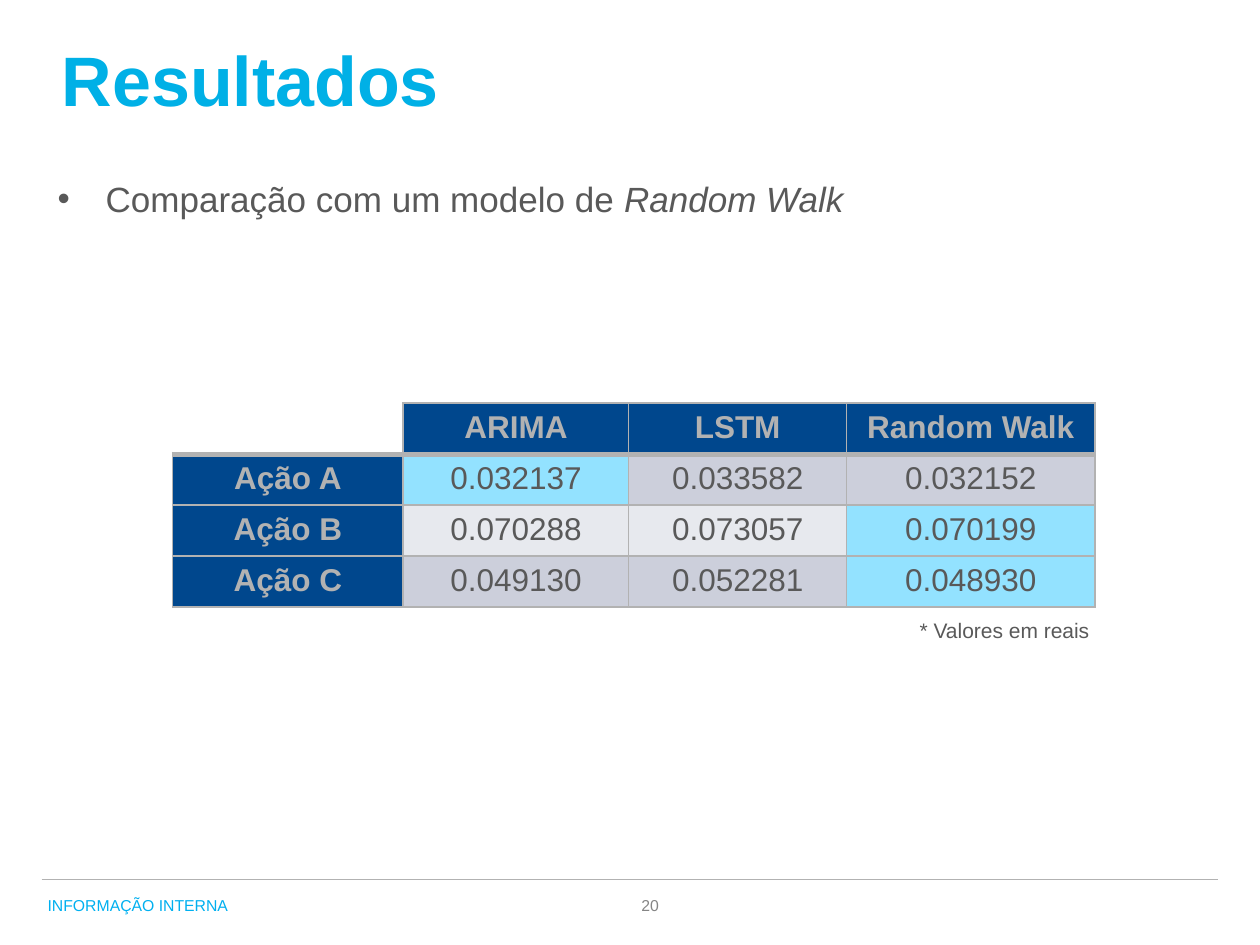
from dataclasses import dataclass

from lxml.etree import SubElement
from pptx import Presentation
from pptx.dml.color import RGBColor
from pptx.enum.shapes import MSO_CONNECTOR as Connector
from pptx.enum.text import MSO_ANCHOR as Anchor, PP_ALIGN as Align
from pptx.oxml.ns import qn
from pptx.util import Emu, Inches, Pt


@dataclass(frozen=True)
class Theme:
    font: str = "Arial"
    title: str = "00B0E6"
    footer: str = "00B0F0"
    number: str = "858585"
    text: str = "595959"
    rule: str = "B2B2B2"
    header: str = "00478D"
    bands: tuple = ("CCCFDB", "E7E9EE")
    best: str = "93E2FF"
    title_size: int = 40
    body_size: int = 20
    table_size: int = 18
    note_size: int = 12
    footer_size: int = 9


@dataclass(frozen=True)
class Box:
    """Place on a grid of 100 columns by 75 rows."""
    left: float
    top: float
    width: float
    height: float


@dataclass(frozen=True)
class Label:
    text: str
    box: Box
    size: int
    color: str
    align: Align = Align.LEFT
    wrap: bool = True


THEME = Theme()
UNIT = Inches(0.1)
HEADINGS = ["", "ARIMA", "LSTM", "Random Walk"]
RESULTS = [
    ["Ação A", "0.032137", "0.033582", "0.032152"],
    ["Ação B", "0.070288", "0.073057", "0.070199"],
    ["Ação C", "0.049130", "0.052281", "0.048930"],
]
COLUMN_WIDTHS = [18.3, 17.9, 17.3, 19.7]
TABLE_BOX = Box(13.7, 32, sum(COLUMN_WIDTHS), 16.2)
LABELS = [
    Label("INFORMAÇÃO INTERNA", Box(2.8, 70.6, 28.4, 2.5), THEME.footer_size, THEME.footer),
    Label("20", Box(37.4, 70.6, 28.4, 2.5), THEME.footer_size, THEME.number, Align.CENTER),
    Label("* Valores em reais", Box(72, 48.5, 15.6, 3), THEME.note_size, THEME.text, wrap=False),
]


def grid(units: float) -> Emu:
    return Emu(round(units * UNIT))


def place(box: Box) -> tuple:
    return grid(box.left), grid(box.top), grid(box.width), grid(box.height)


def format_runs(paragraph, size: int, color: str, bold: bool = False) -> None:
    for run in paragraph.runs:
        run.font.name = THEME.font
        run.font.size = Pt(size)
        run.font.bold = bold
        run.font.color.rgb = RGBColor.from_string(color)


def add_label(slide, label: Label) -> None:
    frame = slide.shapes.add_textbox(*place(label.box)).text_frame
    frame.word_wrap = label.wrap
    frame.text = label.text
    paragraph = frame.paragraphs[0]
    paragraph.alignment = label.align
    format_runs(paragraph, label.size, label.color)


def set_title(slide, text: str, box: Box) -> None:
    title = slide.shapes.title
    title.left, title.top, title.width, title.height = place(box)
    frame = title.text_frame
    frame.vertical_anchor = Anchor.MIDDLE
    frame.text = text
    paragraph = frame.paragraphs[0]
    paragraph.alignment = Align.LEFT
    paragraph.line_spacing = Pt(39)
    format_runs(paragraph, THEME.title_size, THEME.title, bold=True)


def add_bullet(slide, plain: str, emphasis: str, box: Box) -> None:
    frame = slide.shapes.add_textbox(*place(box)).text_frame
    frame.word_wrap = True
    paragraph = frame.paragraphs[0]
    properties = paragraph._p.get_or_add_pPr()
    indent = grid(3.8)
    properties.set("marL", str(indent))
    properties.set("indent", str(-indent))
    SubElement(properties, qn("a:buFont"), typeface=THEME.font)
    SubElement(properties, qn("a:buChar"), char="•")
    for text in (plain, emphasis):
        paragraph.add_run().text = text
    format_runs(paragraph, THEME.body_size, THEME.text)
    paragraph.runs[1].font.italic = True


def add_rule(slide, left: float, right: float, top: float) -> None:
    rule = slide.shapes.add_connector(
        Connector.STRAIGHT, grid(left), grid(top), grid(right), grid(top))
    rule.line.color.rgb = RGBColor.from_string(THEME.rule)
    rule.line.width = Pt(0.25)
    SubElement(rule._element.spPr, qn("a:effectLst"))


def set_borders(cell, widths: dict) -> None:
    """Draw the sides L, R, T, B; a width of 0 hides the side."""
    properties = cell._tc.get_or_add_tcPr()
    for side, width in widths.items():
        line = SubElement(properties, qn(f"a:ln{side}"), w=str(Pt(width)))
        if width:
            fill = SubElement(line, qn("a:solidFill"))
            SubElement(fill, qn("a:srgbClr"), val=THEME.rule)
        else:
            SubElement(line, qn("a:noFill"))


def cell_fill(row: int, column: int, best: str) -> str:
    if row == 0 or column == 0:
        return THEME.header
    if RESULTS[row - 1][column] == best:
        return THEME.best
    return THEME.bands[(row - 1) % 2]


def add_results(slide) -> None:
    rows = [HEADINGS, *RESULTS]
    table = slide.shapes.add_table(len(rows), len(HEADINGS), *place(TABLE_BOX)).table
    table.first_row = table.horz_banding = False
    for column, width in zip(table.columns, COLUMN_WIDTHS):
        column.width = grid(width)
    for r, values in enumerate(rows):
        best = min(values[1:])
        for c, text in enumerate(values):
            cell = table.cell(r, c)
            corner = r == 0 and c == 0
            outer = 0 if corner else 1
            set_borders(cell, {"L": outer, "R": 1, "T": 3 if r == 1 else outer,
                               "B": 3 if r == 0 else 1})
            if corner:
                cell.fill.background()
                continue
            cell.fill.solid()
            cell.fill.fore_color.rgb = RGBColor.from_string(cell_fill(r, c, best))
            cell.text_frame.text = text
            paragraph = cell.text_frame.paragraphs[0]
            paragraph.alignment = Align.CENTER
            heading = r == 0 or c == 0
            format_runs(paragraph, THEME.table_size,
                        THEME.rule if heading else THEME.text, bold=heading)


def main() -> None:
    presentation = Presentation()
    presentation.slide_width, presentation.slide_height = grid(100), grid(75)
    slide = presentation.slides.add_slide(presentation.slide_layouts[5])

    # Title and statement
    set_title(slide, "Resultados", Box(3.9, 3.6, 77.6, 6.5))
    add_bullet(slide, "Comparação com um modelo de ", "Random Walk",
               Box(3.6, 13.6, 93.3, 14.2))

    # Error of each model, lowest value highlighted
    add_results(slide)

    # Footer rule, footer texts and table note
    add_rule(slide, 3.3, 96.7, 69.8)
    for label in LABELS:
        add_label(slide, label)

    presentation.save("out.pptx")


if __name__ == "__main__":
    main()
